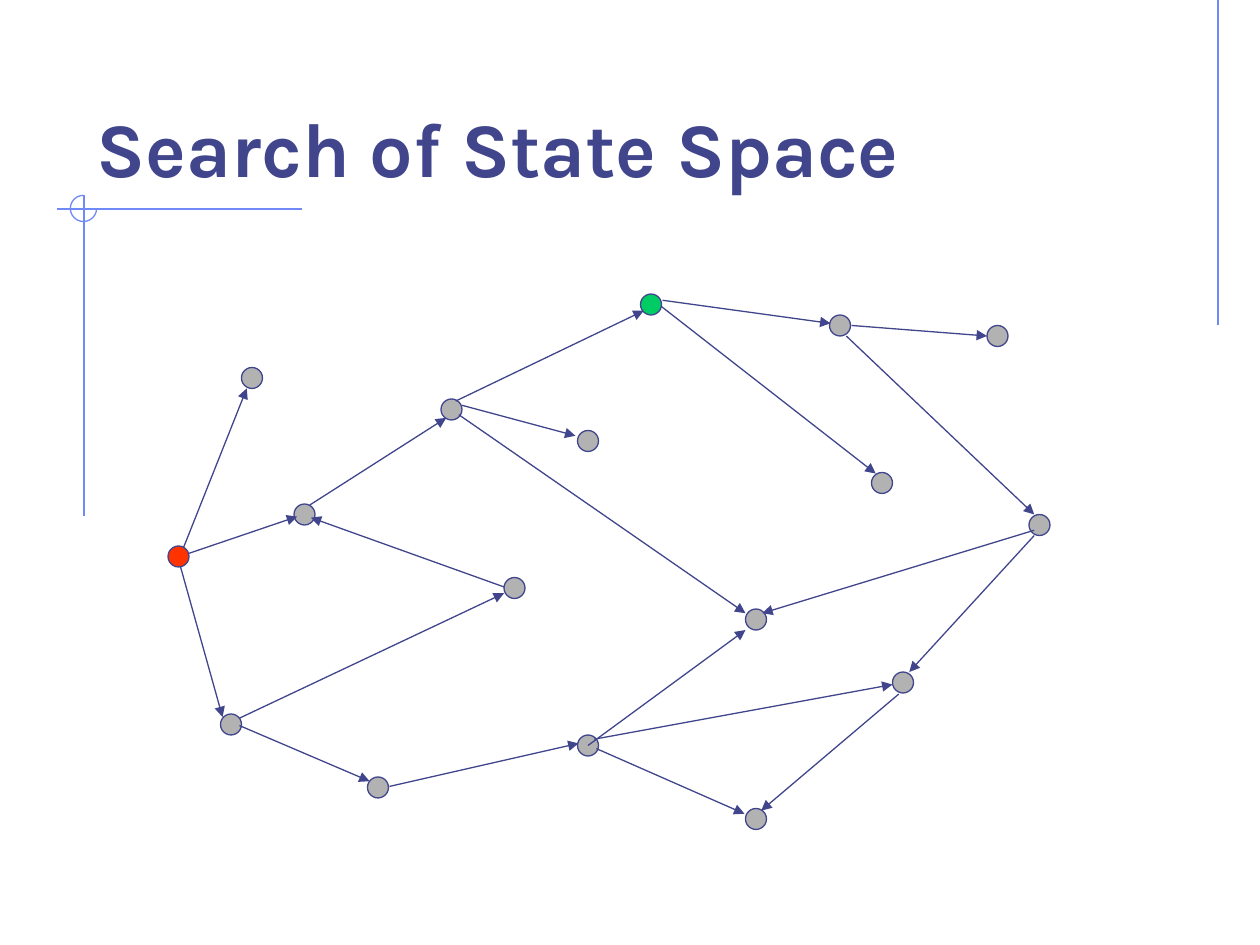
"""Build a slide that shows the search of a state space as a directed graph."""
from typing import NamedTuple

from pptx import Presentation
from pptx.dml.color import RGBColor
from pptx.enum.shapes import MSO_CONNECTOR, MSO_SHAPE
from pptx.enum.text import MSO_ANCHOR, MSO_AUTO_SIZE, PP_ALIGN
from pptx.oxml.ns import qn
from pptx.util import Inches, Pt
from lxml.etree import SubElement

COLORS = {
    "ink": "40458C",
    "frame": "6F89F7",
    "state": "B2B2B2",
    "start": "FF3300",
    "goal": "00CC66",
}
COLUMNS, ROWS = 120, 90
CELL = Inches(10) / COLUMNS
NODE_CELLS = 2


class Node(NamedTuple):
    col: float
    row: float
    role: str = "state"


class Line(NamedTuple):
    col1: float
    row1: float
    col2: float
    row2: float


FRAME = [
    Line(116, 0, 116, 31),
    Line(28.8, 19.9, 5.4, 19.9),
    Line(8, 18.6, 8, 49.1),
]
NODES = [
    Node(23, 35), Node(28, 48), Node(21, 68), Node(48, 55), Node(42, 38),
    Node(55, 41), Node(83, 45), Node(85, 64), Node(71, 58), Node(35, 74),
    Node(55, 70), Node(71, 77), Node(79, 30), Node(98, 49), Node(94, 31),
]
EDGES = [
    Line(17.5, 52.1, 23.5, 37),
    Line(18, 52.7, 28.3, 49.2),
    Line(17.2, 54, 21.2, 68.3),
    Line(22.8, 69.1, 35.2, 74.4),
    Line(22.8, 68.4, 48, 56.5),
    Line(37.1, 74.9, 55.1, 70.8),
    Line(48, 55.9, 29.6, 49.3),
    Line(56.8, 71.3, 70.9, 77.5),
    Line(29.5, 48.1, 42.5, 39.8),
    Line(44, 38.6, 54.8, 41.5),
    Line(43.4, 38.2, 61.3, 29.6),
    Line(43.7, 39.5, 71, 58.4),
    Line(56.6, 70.4, 85, 65.2),
    Line(85.6, 66.1, 72.5, 77.2),
    Line(63, 29.2, 83.4, 45.1),
    Line(63.1, 28.6, 79.1, 30.8),
    Line(81.1, 31, 94, 32),
    Line(80.6, 32, 98.5, 49),
    Line(98.5, 50.5, 72.6, 58.4),
    Line(98.5, 51, 86.6, 64),
    Line(56, 71, 71, 60),
]
ENDS = [Node(16, 52, "start"), Node(61, 28, "goal")]


def cells(count: float) -> int:
    """Turn a number of grid cells into a length."""
    return round(count * CELL)


def color(name: str) -> RGBColor:
    """Look up a named colour."""
    return RGBColor.from_string(COLORS[name])


def set_line(s, name: str) -> None:
    """Give a shape or connector a thin outline."""
    s.line.color.rgb = color(name)
    s.line.width = Pt(0.75)


def draw_line(shapes, line: Line, name: str, arrow: bool = False) -> None:
    """Draw a straight line, with an arrowhead at its end if asked."""
    s = shapes.add_connector(MSO_CONNECTOR.STRAIGHT, *map(cells, line))
    set_line(s, name)
    if arrow:
        SubElement(s.line._get_or_add_ln(), qn("a:tailEnd"), type="triangle")
    SubElement(s._element.spPr, qn("a:effectLst"))


def draw_node(shapes, node: Node) -> None:
    """Draw one state as a filled circle."""
    size = cells(NODE_CELLS)
    s = shapes.add_shape(MSO_SHAPE.OVAL, cells(node.col), cells(node.row), size, size)
    s.shadow.inherit = False
    s.fill.solid()
    s.fill.fore_color.rgb = color(node.role)
    set_line(s, "ink")


def draw_frame(shapes) -> None:
    """Draw the thin lines and the three-quarter arc around the title."""
    for line in FRAME:
        draw_line(shapes, line, "frame")
    s = shapes.add_shape(MSO_SHAPE.ARC, cells(6.7), cells(18.6), cells(2.5), cells(2.5))
    s.adjustments[0], s.adjustments[1] = 0, 162
    s.shadow.inherit = False
    s.fill.background()
    set_line(s, "frame")


def set_title(s, text: str) -> None:
    """Place and format the title placeholder."""
    s.left, s.top, s.width, s.height = map(cells, (8, 4, 102, 15))
    tf = s.text_frame
    tf.text = text
    tf.word_wrap = True
    tf.auto_size = MSO_AUTO_SIZE.NONE
    tf.vertical_anchor = MSO_ANCHOR.BOTTOM
    p = tf.paragraphs[0]
    p.alignment = PP_ALIGN.LEFT
    p.font.name = "Karla"
    p.font.size = Pt(44)
    p.font.bold = True
    p.font.color.rgb = color("ink")


def main() -> None:
    """Build and save the slide."""
    prs = Presentation()
    prs.slide_width, prs.slide_height = cells(COLUMNS), cells(ROWS)
    slide = prs.slides.add_slide(prs.slide_layouts[5])
    set_title(slide.shapes.title, "Search of State Space")
    draw_frame(slide.shapes)
    for node in NODES:
        draw_node(slide.shapes, node)
    for edge in EDGES:
        draw_line(slide.shapes, edge, "ink", arrow=True)
    for node in ENDS:
        draw_node(slide.shapes, node)
    prs.save("out.pptx")


if __name__ == "__main__":
    main()
